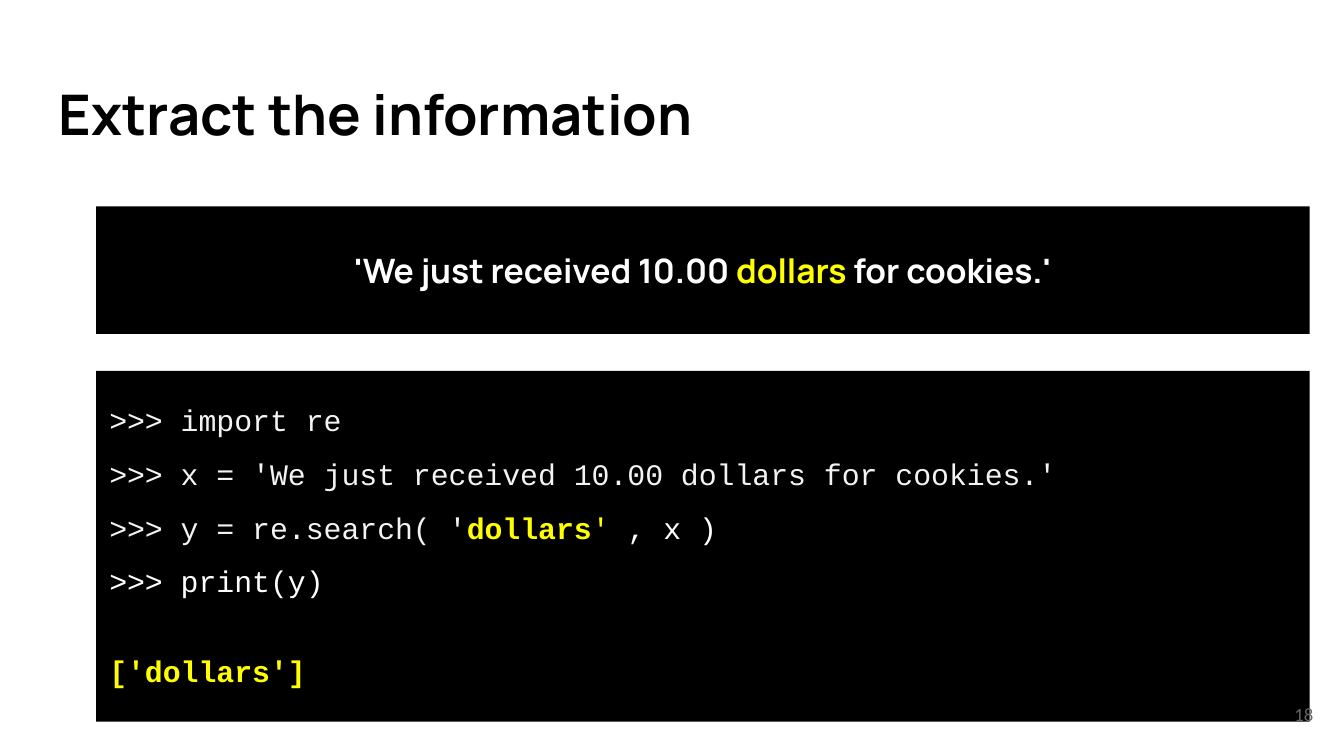
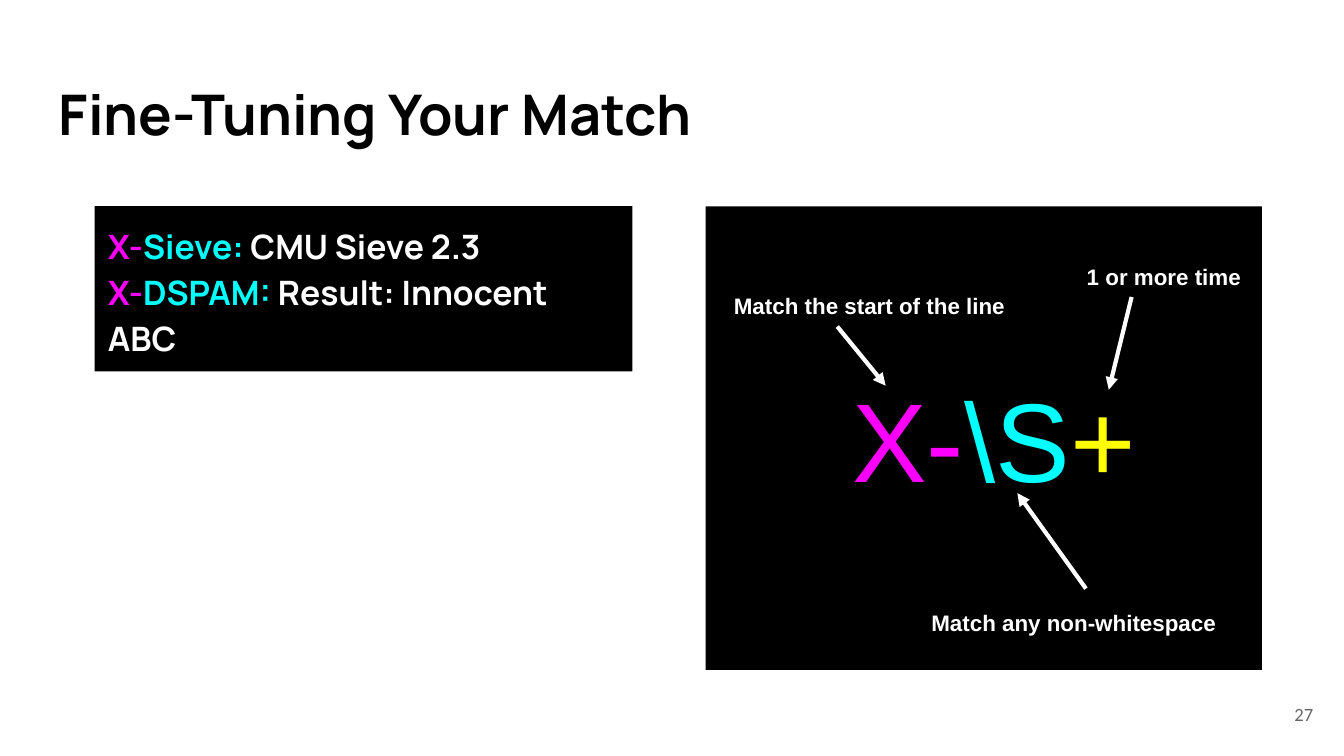
"""Build two slides on searching text with regular expressions."""
from lxml import etree
from pptx import Presentation
from pptx.dml.color import RGBColor
from pptx.enum.shapes import MSO_CONNECTOR, MSO_SHAPE
from pptx.enum.text import MSO_ANCHOR, PP_ALIGN
from pptx.oxml.ns import qn
from pptx.util import Emu, Pt

LEFT, CENTER, RIGHT = PP_ALIGN.LEFT, PP_ALIGN.CENTER, PP_ALIGN.RIGHT
TOP, MIDDLE = MSO_ANCHOR.TOP, MSO_ANCHOR.MIDDLE
RECT, STRAIGHT = MSO_SHAPE.RECTANGLE, MSO_CONNECTOR.STRAIGHT
PX = 4572


class Theme:
    """Colours, fonts and type sizes shared by the slides."""
    black, white, pale, grey = "000000", "FFFFFF", "F3F3F3", "666666"
    yellow, magenta, cyan = "FFFF00", "FF00FF", "00FFFF"
    head, code, label, number = "Manrope", "Courier New", "Arial", "Calibri"
    title_size, body_size, code_size = 30, 18, 16
    pattern_size, label_size, number_size = 60, 12, 10
    arrow_width = 2.25


T = Theme
SLIDE = (2000, 1125)
TITLE_BOX = (68, 98, 1864, 126)
NUMBER_BOX = (1854, 1020, 120, 86)
PANEL_TOP = 307
INSET = 20

EXTRACT = {
    "title": "Extract the information",
    "number": "18",
    "sentence": [[("'We just received 10.00 ", T.white), ("dollars", T.yellow),
                  (" for cookies.'", T.white)]],
    "code": [
        [(">>> import re", T.pale)],
        [(">>> x = 'We just received 10.00 dollars for cookies.'", T.pale)],
        [(">>> y = re.search( '", T.pale), ("dollars", T.yellow, True),
         ("'", T.yellow), (" , x )", T.white)],
        [(">>> print(y)", T.white)],
        [("['dollars']", T.yellow, True)],
    ],
}

MATCH = {
    "title": "Fine-Tuning Your Match",
    "number": "27",
    "mail": [
        [("X-", T.magenta), ("Sieve:", T.cyan), (" CMU Sieve 2.3", T.white)],
        [("X-", T.magenta), ("DSPAM: ", T.cyan), ("Result: Innocent", T.white)],
        [("ABC", T.white)],
    ],
    "pattern": [[("X-", T.magenta), ("\\S", T.cyan), ("+", T.yellow)]],
    "labels": [
        ("Match the start of the line", (1070, 418, 448, 68), (1246, 486, 1318, 574)),
        ("1 or more time", (1508, 375, 448, 68), (1684, 442, 1650, 580)),
        ("Match any non-whitespace", (1318, 890, 560, 68), (1616, 876, 1514, 734)),
    ],
}


def px(*values):
    return [Emu(v * PX) for v in values]


def add_text(s, box, paras, *, font, size, bold=False, align=LEFT, anchor=TOP,
             fill=None, spacing=1.0, last_gap=0, left=INSET):
    """Place paragraphs of coloured runs in a text box or a filled panel."""
    if fill:
        sp = s.shapes.add_shape(RECT, *px(*box))
        sp.shadow.inherit = False
        sp.fill.solid()
        sp.fill.fore_color.rgb = RGBColor.from_string(fill)
        sp.line.fill.background()
    else:
        sp = s.shapes.add_textbox(*px(*box))
    tf = sp.text_frame
    tf.word_wrap = True
    tf.vertical_anchor = anchor
    tf.margin_left, tf.margin_top, tf.margin_right, tf.margin_bottom = px(
        left, INSET, INSET, INSET)
    for i, runs in enumerate(paras):
        p = tf.paragraphs[0] if i == 0 else tf.add_paragraph()
        p.alignment = align
        p.line_spacing = spacing
        for text, color, *strong in runs:
            r = p.add_run()
            r.text = text
            r.font.name = font
            r.font.size = Pt(size)
            r.font.bold = strong[0] if strong else bold
            r.font.color.rgb = RGBColor.from_string(color)
    if last_gap:
        p.space_before = Pt(last_gap)


def add_arrow(s, ends):
    c = s.shapes.add_connector(STRAIGHT, *px(*ends))
    c.line.color.rgb = RGBColor.from_string(T.white)
    c.line.width = Pt(T.arrow_width)
    ln = c._element.spPr.find(qn("a:ln"))
    etree.SubElement(ln, qn("a:tailEnd"), type="triangle")
    etree.SubElement(c._element.spPr, qn("a:effectLst"))


def add_slide(prs, content):
    s = prs.slides.add_slide(prs.slide_layouts[6])
    add_text(s, TITLE_BOX, [[(content["title"], T.black)]], font=T.head,
             size=T.title_size, bold=True)
    return s


def add_number(s, content):
    add_text(s, NUMBER_BOX, [[(content["number"], T.grey)]], font=T.number,
             size=T.number_size, align=RIGHT, anchor=MIDDLE)


def build_extract(prs):
    s = add_slide(prs, EXTRACT)
    add_text(s, (143, PANEL_TOP, 1806, 190), EXTRACT["sentence"], font=T.head,
             size=T.body_size, bold=True, align=CENTER, anchor=MIDDLE, fill=T.black)
    add_text(s, (143, 552, 1806, 522), EXTRACT["code"], font=T.code,
             size=T.code_size, fill=T.black, spacing=Pt(28.7), last_gap=19.5)
    add_number(s, EXTRACT)


def build_match(prs):
    s = add_slide(prs, MATCH)
    add_text(s, (1050, PANEL_TOP, 828, 690), MATCH["pattern"], font=T.label,
             size=T.pattern_size, align=CENTER, anchor=MIDDLE, fill=T.black, left=50)
    for text, box, ends in MATCH["labels"]:
        add_text(s, box, [[(text, T.white)]], font=T.label, size=T.label_size,
                 bold=True, align=CENTER, anchor=MIDDLE, spacing=1.15)
        add_arrow(s, ends)
    add_number(s, MATCH)
    add_text(s, (141, PANEL_TOP, 800, 246), MATCH["mail"], font=T.head,
             size=T.body_size, bold=True, fill=T.black, spacing=Pt(24.8))


def main():
    prs = Presentation()
    prs.slide_width, prs.slide_height = px(*SLIDE)
    build_extract(prs)
    build_match(prs)
    prs.save("out.pptx")


if __name__ == "__main__":
    main()
